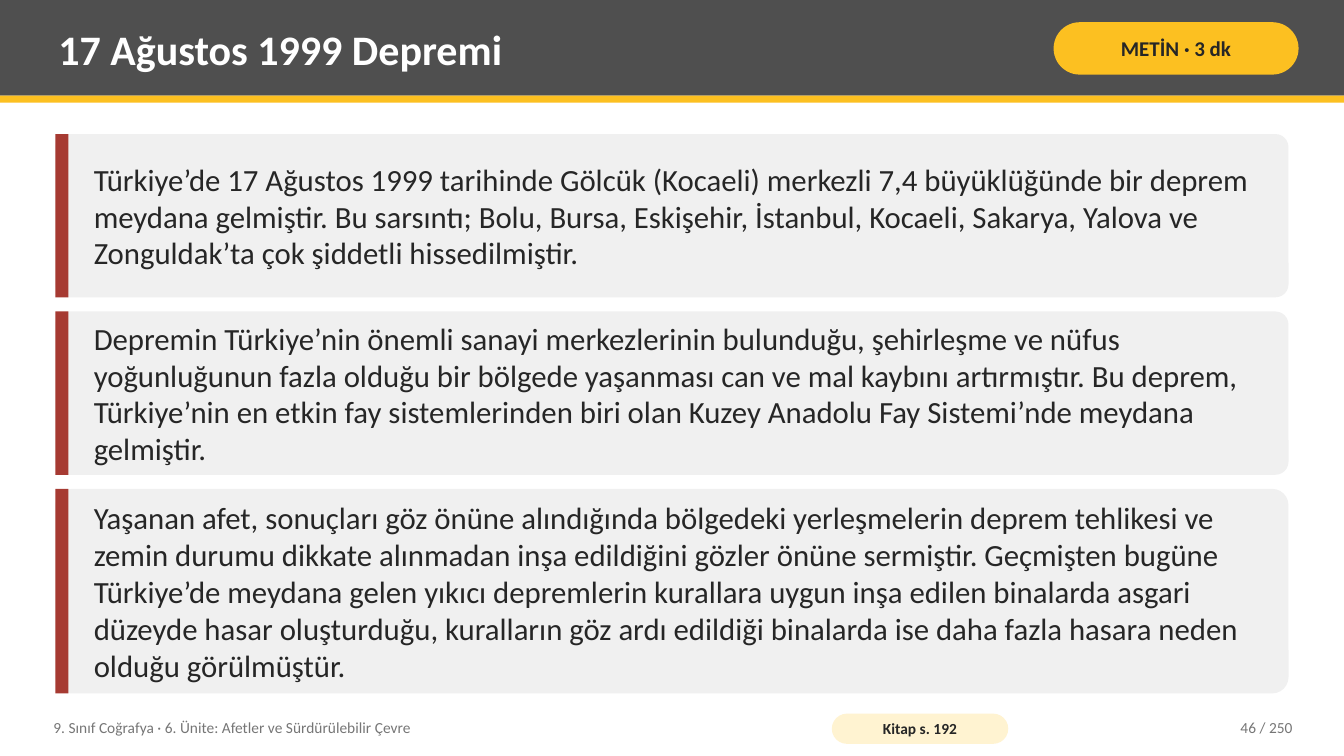
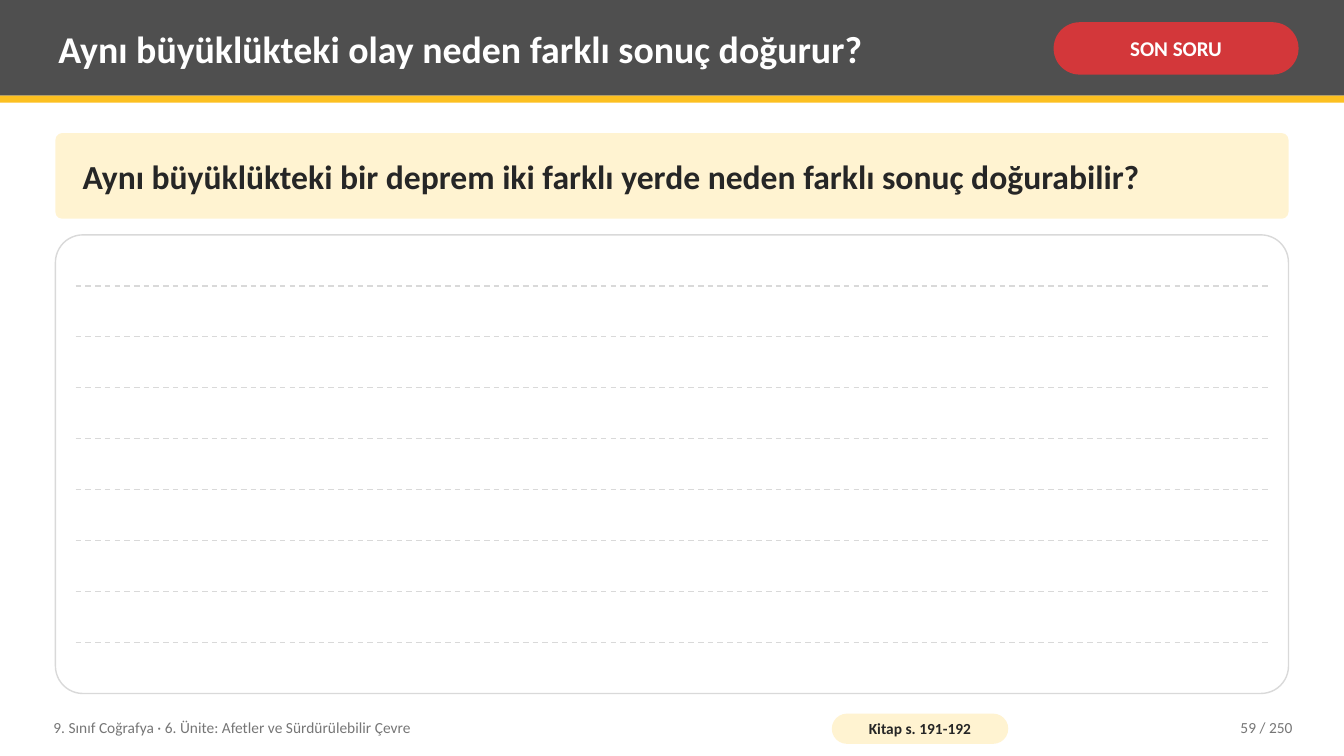
import pptx
import pptx.util
import pptx.dml.color
import pptx.enum.dml
import pptx.enum.shapes
import pptx.enum.text
import pptx.oxml.ns
import lxml.etree

PX = 9144  # EMU per px, 100 px to the inch
WIDTH, HEIGHT = 1333, 750
LEFT, SPAN, BOTTOM = 55, 1223, 688
FONT = "Calibri"
COLORS = {
    "band": "4F4F4F", "gold": "FCC021", "cream": "FFF3D1", "red": "D3373A",
    "brick": "A63A32", "panel": "F0F0F0", "rule": "D9D9D9",
    "white": "FFFFFF", "ink": "262626", "muted": "767676",
}
RECT = pptx.enum.shapes.MSO_SHAPE.RECTANGLE
ROUND = pptx.enum.shapes.MSO_SHAPE.ROUNDED_RECTANGLE
ALIGN = pptx.enum.text.PP_ALIGN

UNIT = "9. Sınıf Coğrafya · 6. Ünite: Afetler ve Sürdürülebilir Çevre"
TOTAL = 250

QUAKE = {
    "title": "17 Ağustos 1999 Depremi", "size": 30,
    "tag": ("METİN · 3 dk", "gold", "ink"),
    "book": "Kitap s. 192", "page": 46,
}
CARD_TOP, CARD_GAP = 133, 14
CARDS = [
    (162, "Türkiye’de 17 Ağustos 1999 tarihinde Gölcük (Kocaeli) merkezli 7,4 "
          "büyüklüğünde bir deprem meydana gelmiştir. Bu sarsıntı; Bolu, Bursa, "
          "Eskişehir, İstanbul, Kocaeli, Sakarya, Yalova ve Zonguldak’ta çok "
          "şiddetli hissedilmiştir."),
    (162, "Depremin Türkiye’nin önemli sanayi merkezlerinin bulunduğu, şehirleşme "
          "ve nüfus yoğunluğunun fazla olduğu bir bölgede yaşanması can ve mal "
          "kaybını artırmıştır. Bu deprem, Türkiye’nin en etkin fay sistemlerinden "
          "biri olan Kuzey Anadolu Fay Sistemi’nde meydana gelmiştir."),
    (203, "Yaşanan afet, sonuçları göz önüne alındığında bölgedeki yerleşmelerin "
          "deprem tehlikesi ve zemin durumu dikkate alınmadan inşa edildiğini "
          "gözler önüne sermiştir. Geçmişten bugüne Türkiye’de meydana gelen "
          "yıkıcı depremlerin kurallara uygun inşa edilen binalarda asgari düzeyde "
          "hasar oluşturduğu, kuralların göz ardı edildiği binalarda ise daha "
          "fazla hasara neden olduğu görülmüştür."),
]

FINAL = {
    "title": "Aynı büyüklükteki olay neden farklı sonuç doğurur?", "size": 27,
    "tag": ("SON SORU", "red", "white"),
    "book": "Kitap s. 191-192", "page": 59,
}
QUESTION = "Aynı büyüklükteki bir deprem iki farklı yerde neden farklı sonuç doğurabilir?"
SHEET_TOP, ROWS, MARGIN = 233, 9, 20


def px(*sizes):
    return [pptx.util.Emu(round(size * PX)) for size in sizes]


def rgb(name):
    return pptx.dml.color.RGBColor.from_string(COLORS[name])


def write(shape, text, size, color, bold=False, align=ALIGN.LEFT, inset=(8, 4)):
    """Fill a shape with one paragraph; inset is (sides, top and bottom) in px."""
    frame = shape.text_frame
    frame.word_wrap = True
    frame.vertical_anchor = pptx.enum.text.MSO_ANCHOR.MIDDLE
    side, edge = px(*inset)
    frame.margin_left = frame.margin_right = side
    frame.margin_top = frame.margin_bottom = edge
    frame.text = text
    line = frame.paragraphs[0]
    line.alignment = align
    font = line.runs[0].font
    font.name, font.size, font.bold = FONT, pptx.util.Pt(size), bold
    font.color.rgb = rgb(color)


def add_text(slide, box, *args, **style):
    write(slide.shapes.add_textbox(*px(*box)), *args, **style)


def add_box(slide, box, fill, radius=None, line=None):
    """Draw a plain box, rounded when a radius ratio is given."""
    kind = RECT if radius is None else ROUND
    shape = slide.shapes.add_shape(kind, *px(*box))
    shape.shadow.inherit = False
    if radius is not None:
        shape.adjustments[0] = radius
    shape.fill.solid()
    shape.fill.fore_color.rgb = rgb(fill)
    if line:
        shape.line.color.rgb = rgb(line)
        shape.line.width = pptx.util.Pt(1)
    else:
        shape.line.fill.background()
    return shape


def add_pill(slide, box, text, size, fill, color, inset):
    write(add_box(slide, box, fill, 0.5), text, size, color,
          bold=True, align=ALIGN.CENTER, inset=inset)


def add_rule(slide, left, right, y):
    kind = pptx.enum.shapes.MSO_CONNECTOR.STRAIGHT
    rule = slide.shapes.add_connector(kind, *px(left, y, right, y))
    rule.line.color.rgb = rgb("rule")
    rule.line.width = pptx.util.Pt(1)
    rule.line.dash_style = pptx.enum.dml.MSO_LINE.DASH
    props = rule._element.spPr
    lxml.etree.SubElement(props, pptx.oxml.ns.qn("a:effectLst"))


def add_frame(deck, data):
    """Add a slide with the shared title band and footer."""
    slide = deck.slides.add_slide(deck.slide_layouts[6])
    add_box(slide, (0, 0, WIDTH, 95), "band")
    add_box(slide, (0, 95, WIDTH, 7), "gold")
    add_text(slide, (50, 7, 975, 82), data["title"], data["size"], "white", bold=True)
    label, fill, color = data["tag"]
    add_pill(slide, (1045, 22, 243, 52), label, 15, fill, color, (5, 2))
    add_text(slide, (45, 704, 760, 36), UNIT, 11, "muted")
    add_pill(slide, (825, 708, 175, 30), data["book"], 11, "cream", "ink", (4, 0))
    add_text(slide, (1130, 704, 160, 36), f"{data['page']} / {TOTAL}", 11, "muted",
             align=ALIGN.RIGHT)
    return slide


def add_cards(slide):
    top = CARD_TOP
    for height, text in CARDS:
        add_box(slide, (LEFT, top, SPAN, height), "panel", 0.08)
        add_box(slide, (LEFT, top, 13, height), "brick")
        add_text(slide, (LEFT + 30, top, SPAN - 45, height), text, 22, "ink")
        top += height + CARD_GAP


def add_sheet(slide):
    """Add the question and the ruled answer area."""
    banner = add_box(slide, (LEFT, 132, SPAN, 85), "cream", 0.08)
    write(banner, QUESTION, 24, "ink", bold=True, inset=(25, 8))
    height = BOTTOM - SHEET_TOP
    add_box(slide, (LEFT, SHEET_TOP, SPAN, height), "white", 0.06, "rule")
    for row in range(1, ROWS):
        add_rule(slide, LEFT + MARGIN, LEFT + SPAN - MARGIN,
                 SHEET_TOP + row * height / ROWS)


def main():
    deck = pptx.Presentation()
    deck.slide_width, deck.slide_height = px(WIDTH, HEIGHT)
    add_cards(add_frame(deck, QUAKE))
    add_sheet(add_frame(deck, FINAL))
    deck.save("out.pptx")


if __name__ == "__main__":
    main()
